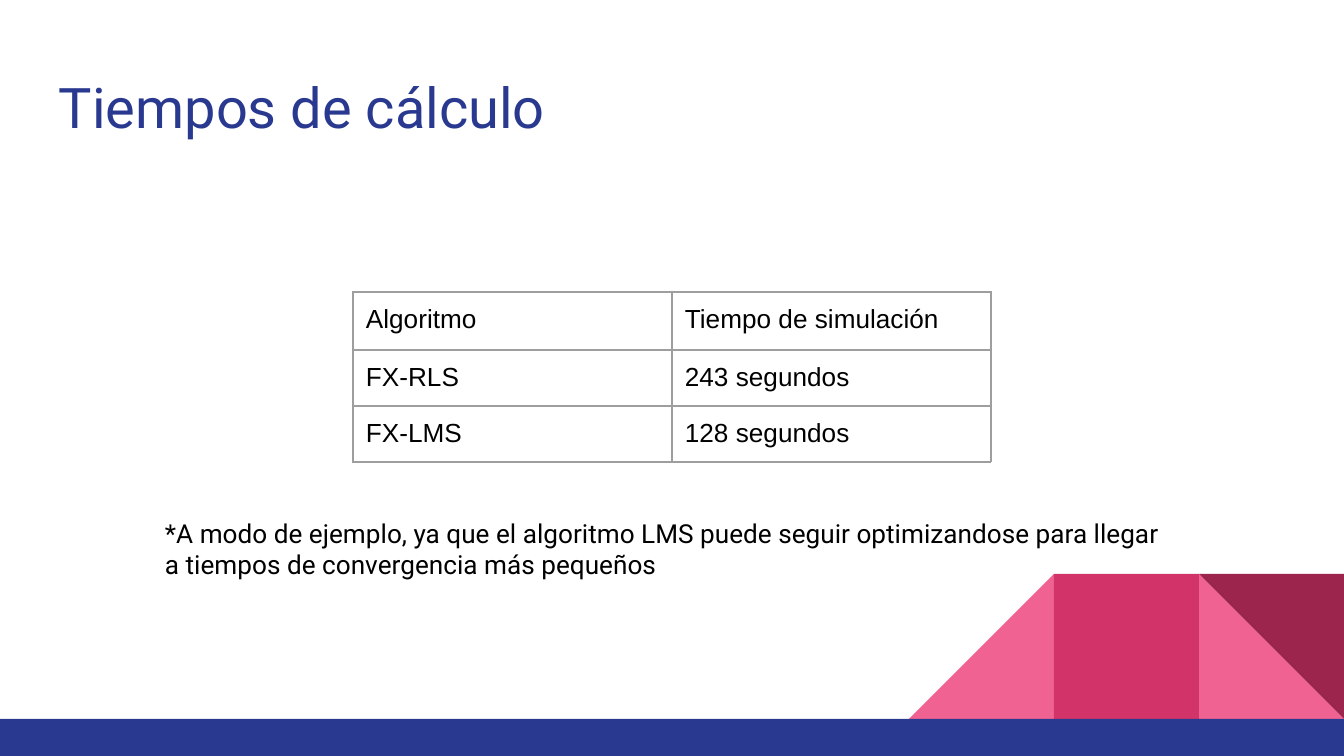
"""Build the slide on computation times."""
from lxml import etree
from pptx import Presentation
from pptx.dml.color import RGBColor
from pptx.enum.shapes import MSO_SHAPE
from pptx.enum.text import MSO_ANCHOR, MSO_AUTO_SIZE, PP_ALIGN
from pptx.oxml.ns import qn
from pptx.util import Emu, Pt

RECTANGLE, TRIANGLE = MSO_SHAPE.RECTANGLE, MSO_SHAPE.RIGHT_TRIANGLE
TOP, LEFT, NO_FIT = MSO_ANCHOR.TOP, PP_ALIGN.LEFT, MSO_AUTO_SIZE.NONE
TITLE_ONLY = 5
PX_PER_INCH = 134.4
PAGE_WIDTH, PAGE_HEIGHT = 1344, 756
INSET = 13
TILE, FOOTER_TOP = 145, 719
COLORS = {
    "navy": "2A3990",
    "pink": "F06292",
    "rose": "D23369",
    "wine": "9C254D",
    "gray": "9E9E9E",
    "black": "000000",
}
TIMES = [
    ("Algoritmo", "Tiempo de simulación"),
    ("FX-RLS", "243 segundos"),
    ("FX-LMS", "128 segundos"),
]
NOTE = (
    "*A modo de ejemplo, ya que el algoritmo LMS puede seguir optimizandose "
    "para llegar a tiempos de convergencia más pequeños"
)


def px(length):
    """Turn pixels into EMU."""
    return Emu(round(length * 914400 / PX_PER_INCH))


def rgb(name):
    """Look up a named colour."""
    return RGBColor.from_string(COLORS[name])


def set_insets(item):
    """Give a text frame or table cell its even margins."""
    item.margin_left = item.margin_right = px(INSET)
    item.margin_top = item.margin_bottom = px(INSET)


def write(frame, text, font, size, color):
    """Write one left-aligned run into a text frame."""
    para = frame.paragraphs[0]
    para.alignment = LEFT
    span = para.add_run()
    span.text = text
    span.font.name = font
    span.font.size = Pt(size)
    span.font.color.rgb = rgb(color)


def fill_box(box, text, size, color):
    """Set up the frame of a text box and write its text."""
    frame = box.text_frame
    frame.word_wrap = True
    frame.auto_size = NO_FIT
    frame.vertical_anchor = TOP
    set_insets(frame)
    write(frame, text, "Roboto", size, color)


def add_block(page, kind, bounds, color):
    """Add a flat coloured shape."""
    block = page.shapes.add_shape(kind, *map(px, bounds))
    block.shadow.inherit = False
    block.fill.solid()
    block.fill.fore_color.rgb = rgb(color)
    block.line.fill.background()
    return block


def add_decoration(page):
    """Add the corner tiles and the footer band."""
    right, middle, left = (PAGE_WIDTH - TILE * step for step in (1, 2, 3))
    top = FOOTER_TOP - TILE
    add_block(page, TRIANGLE, (right, top, TILE, TILE), "pink")
    mirrored = add_block(page, TRIANGLE, (left, top, TILE, TILE), "pink")
    mirrored.element.spPr.find(qn("a:xfrm")).set("flipH", "1")
    add_block(page, RECTANGLE, (middle, top, TILE, TILE), "rose")
    turned = add_block(page, TRIANGLE, (right, top, TILE, TILE), "wine")
    turned.rotation = 180
    footer = (0, FOOTER_TOP, PAGE_WIDTH, PAGE_HEIGHT - FOOTER_TOP)
    add_block(page, RECTANGLE, footer, "navy")


def add_title(page, text):
    """Place and fill the title placeholder."""
    title = page.shapes.title
    title.left, title.top, title.width, title.height = map(px, (46, 60, 1252, 89))
    fill_box(title, text, 30, "navy")


def add_borders(cell):
    """Draw thin gray lines on the four sides of a cell."""
    properties = cell._tc.get_or_add_tcPr()
    for position, side in enumerate(("lnL", "lnR", "lnT", "lnB")):
        line = etree.Element(qn(f"a:{side}"), w=str(Pt(0.75)))
        fill = etree.SubElement(line, qn("a:solidFill"))
        etree.SubElement(fill, qn("a:srgbClr"), val=COLORS["gray"])
        properties.insert(position, line)


def add_times_table(page):
    """Add the table of simulation times."""
    column_width, heights = 319, (58, 56, 56)
    bounds = (353, 292, 2 * column_width, sum(heights))
    table = page.shapes.add_table(len(TIMES), 2, *map(px, bounds)).table
    table.first_row = table.horz_banding = False
    for column in table.columns:
        column.width = px(column_width)
    for row, height, texts in zip(table.rows, heights, TIMES):
        row.height = px(height)
        for cell, text in zip(row.cells, texts):
            set_insets(cell)
            cell.vertical_anchor = TOP
            cell.fill.background()
            add_borders(cell)
            write(cell.text_frame, text, "Arial", 14, "black")


def main():
    """Build and save the deck."""
    deck = Presentation()
    deck.slide_width, deck.slide_height = px(PAGE_WIDTH), px(PAGE_HEIGHT)
    page = deck.slides.add_slide(deck.slide_layouts[TITLE_ONLY])
    add_decoration(page)
    add_title(page, "Tiempos de cálculo")
    add_times_table(page)
    note = page.shapes.add_textbox(*map(px, (152, 504, 1039, 121)))
    fill_box(note, NOTE, 14, "black")
    deck.save("out.pptx")


if __name__ == "__main__":
    main()
